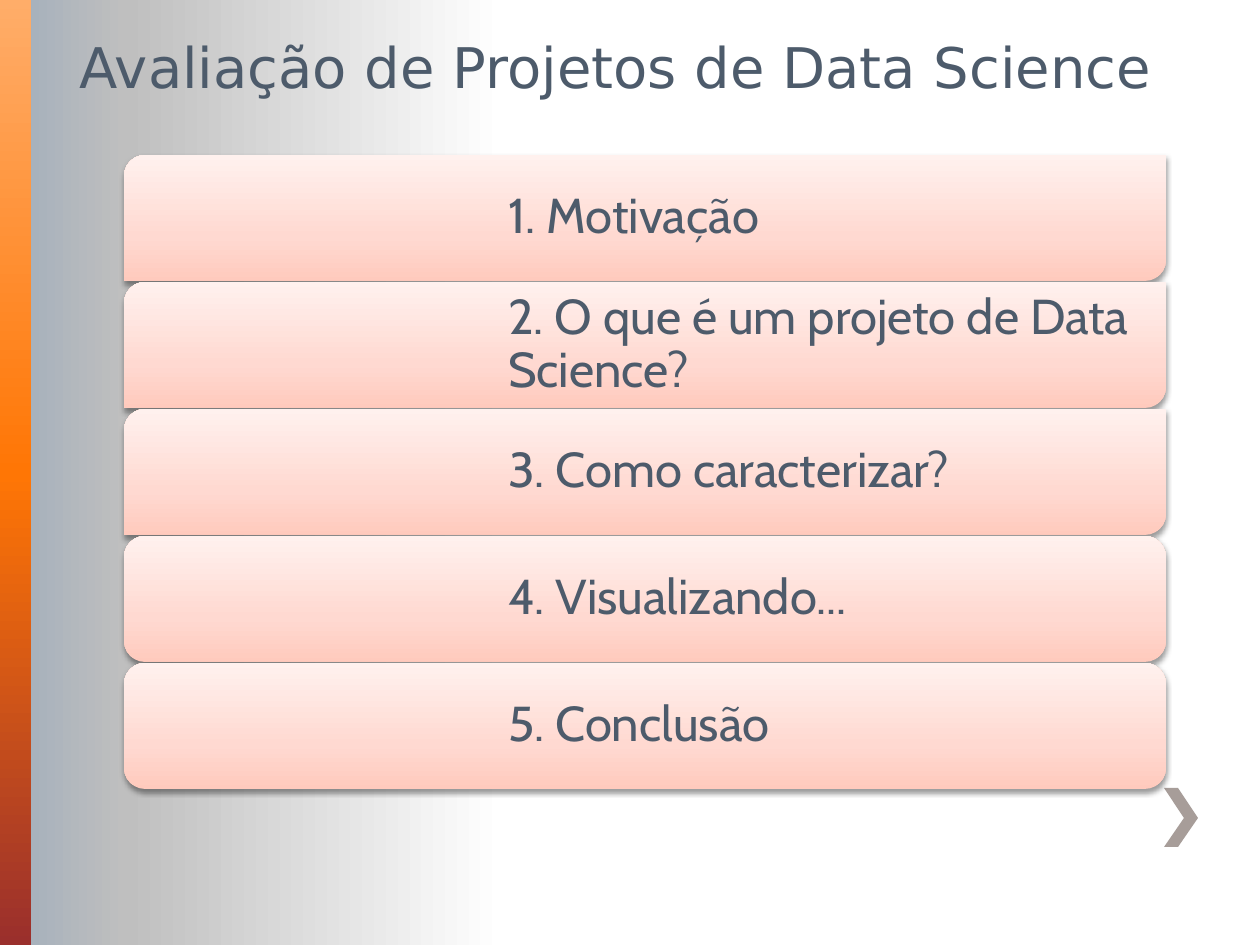
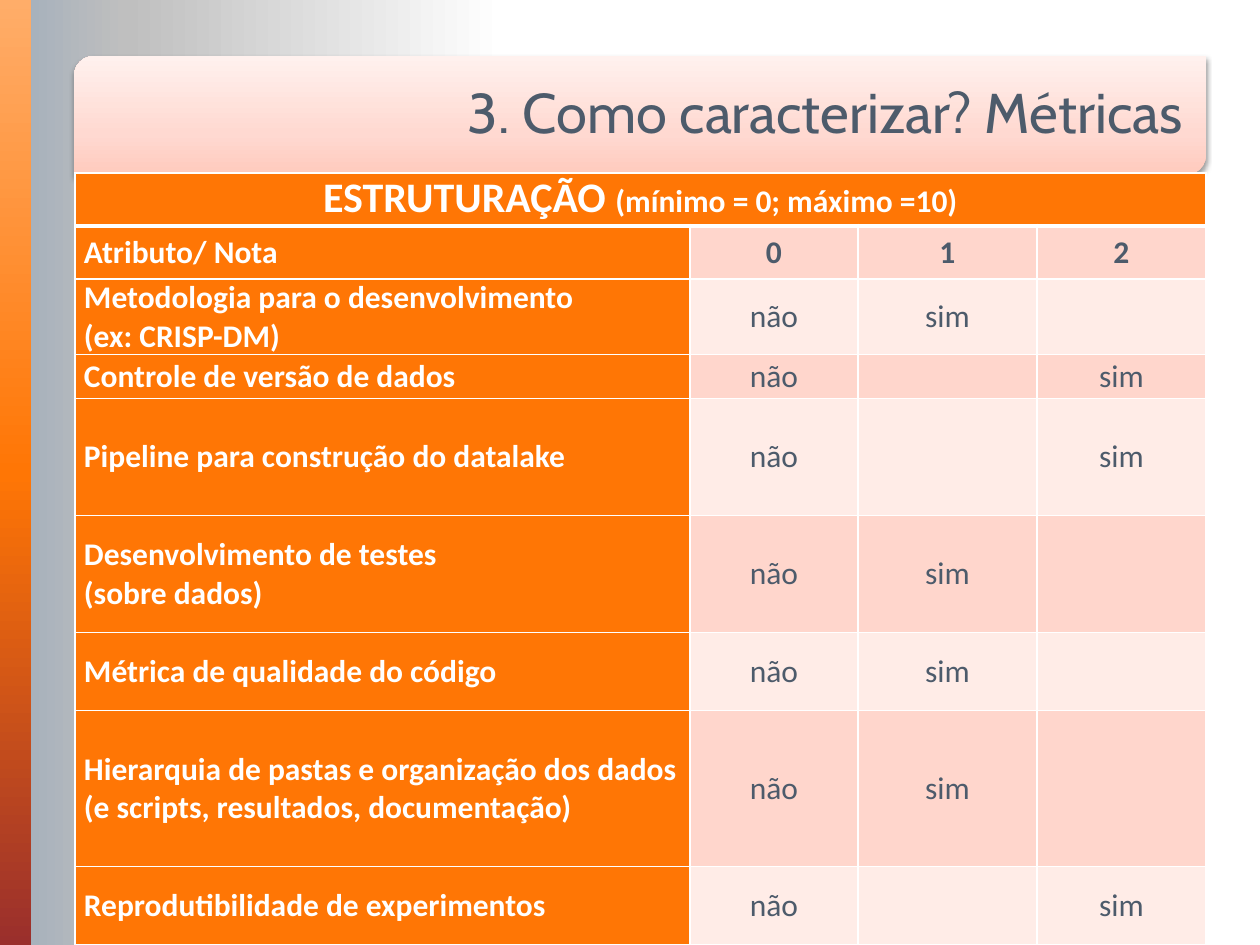
"""Build two slides on rating data science projects."""
from dataclasses import dataclass
from typing import Any

from lxml.etree import SubElement
from pptx import Presentation
from pptx.dml.color import RGBColor as RGB
from pptx.enum.shapes import MSO_SHAPE as SHAPE
from pptx.enum.text import MSO_ANCHOR as ANCHOR, PP_ALIGN as ALIGN
from pptx.oxml.ns import qn
from pptx.util import Emu, Pt

SCALE = 914400 / 126
WIDE, HIGH = 1260, 945

WHITE = RGB(0xFF, 0xFF, 0xFF)
BLACK = RGB(0x00, 0x00, 0x00)
SLATE = RGB(0x4D, 0x5B, 0x6B)
ORANGE = RGB(0xFF, 0x76, 0x05)
PEACH = RGB(0xFF, 0xAD, 0x69)
BRICK = RGB(0x9A, 0x2F, 0x2C)
TAUPE = RGB(0xA7, 0x9D, 0x99)
SILVER = RGB(0xBF, 0xBF, 0xBF)
STEEL = RGB(0xA0, 0xAD, 0xBB)
ROSE = RGB(0xFF, 0xD6, 0xCC)
BLUSH = RGB(0xFF, 0xEC, 0xE7)

Stops = list[tuple[int, RGB]]
BACK: Stops = [(60, WHITE), (90, SILVER), (100, STEEL)]
BAND: Stops = [(0, PEACH), (50, ORANGE), (100, BRICK)]
CARD: Stops = [
    (0, RGB(0xFF, 0xCA, 0xBD)),
    (35, RGB(0xFF, 0xD9, 0xD1)),
    (100, RGB(0xFF, 0xF1, 0xEE)),
]
ARROW = [(1178, 788), (1164, 788), (1184, 818), (1164, 847), (1178, 847), (1198, 818)]

TITLE = {"name": "DejaVu Sans", "size": Pt(32)}
ITEM = {"name": "Cabin", "size": Pt(28)}
HEAD = {"name": "Cabin", "size": Pt(32)}
TOP = {"name": "Calibri", "size": Pt(24), "bold": True}
LABEL = {"name": "Calibri", "size": Pt(18), "bold": True}
PLAIN = {"name": "Calibri", "size": Pt(18), "bold": False}

TOPICS = [
    "1. Motivação",
    "2. O que é um projeto de Data Science?",
    "3. Como caracterizar?",
    "4. Visualizando...",
    "5. Conclusão",
]
COLS = [615, 168, 179, 169]


@dataclass
class Box:
    """Place of an item in px."""
    left: int
    top: int
    width: int
    height: int

    def emu(self) -> list[Emu]:
        """Return the place in EMU."""
        return [px(n) for n in (self.left, self.top, self.width, self.height)]


@dataclass
class Card:
    """Rounded panel with one line of text."""
    box: Box
    text: str
    font: dict[str, Any]
    indent: int
    pad: int
    kind: Any = SHAPE.ROUND_2_DIAG_RECTANGLE
    align: Any = ALIGN.LEFT


@dataclass
class Row:
    """Table row with a label and three marks."""
    height: int
    label: str
    marks: tuple[str, str, str]


NONE_ONE = ("não", "sim", "")
NONE_TWO = ("não", "", "sim")
ROWS = [
    Row(53, "Atributo/ Nota", ("0", "1", "2")),
    Row(75, "Metodologia para o desenvolvimento\n(ex: CRISP-DM)", NONE_ONE),
    Row(44, "Controle de versão de dados", NONE_TWO),
    Row(117, "Pipeline para construção do datalake", NONE_TWO),
    Row(117, "Desenvolvimento de testes\n(sobre dados)", NONE_ONE),
    Row(78, "Métrica de qualidade do código", NONE_ONE),
    Row(156, "Hierarquia de pastas e organização dos dados "
             "(e scripts, resultados, documentação)", NONE_ONE),
    Row(78, "Reprodutibilidade de experimentos", NONE_TWO),
]


def px(n: int) -> Emu:
    """Turn px into EMU."""
    return Emu(round(n * SCALE))


def assign(item: Any, values: dict[str, Any]) -> None:
    """Set each named value on the item."""
    for name, value in values.items():
        setattr(item, name, value)


def style(font: Any, values: dict[str, Any], color: RGB) -> None:
    """Set the font values and colour."""
    assign(font, values)
    font.color.rgb = color


def blend(fill: Any, owner: Any, stops: Stops, angle: int) -> None:
    """Fill the owner with a linear gradient."""
    fill.gradient()
    node = next(owner.iter(qn("a:gradFill")))
    steps = node.find(qn("a:gsLst"))
    steps.clear()
    for spot, color in stops:
        stop = SubElement(steps, qn("a:gs"), pos=str(spot * 1000))
        SubElement(stop, qn("a:srgbClr"), val=str(color))
    node.find(qn("a:lin")).set("ang", str(angle * 60000))


def strip(shape: Any) -> None:
    """Remove the outline and shadow."""
    shape.line.fill.background()
    shape.shadow.inherit = False


def shade(shape: Any) -> None:
    """Add a soft shadow below the shape."""
    effects = shape._element.spPr.find(qn("a:effectLst"))
    drop = SubElement(effects, qn("a:outerShdw"), blurRad=str(Pt(3.1)),
                      dist=str(Pt(1.6)), dir="5400000", rotWithShape="0")
    color = SubElement(drop, qn("a:srgbClr"), val=str(BLACK))
    SubElement(color, qn("a:alpha"), val="38000")


def start(deck: Any) -> Any:
    """Add a slide with the shared backdrop, band and arrow."""
    slide = deck.slides.add_slide(deck.slide_layouts[6])
    blend(slide.background.fill, slide._element, BACK, 180)
    band = slide.shapes.add_shape(SHAPE.RECTANGLE, *Box(0, 0, 31, HIGH).emu())
    blend(band.fill, band._element, BAND, 90)
    strip(band)
    form = slide.shapes.build_freeform(*ARROW[0], scale=SCALE)
    form.add_line_segments(ARROW[1:], close=True)
    arrow = form.convert_to_shape()
    arrow.fill.solid()
    arrow.fill.fore_color.rgb = TAUPE
    strip(arrow)
    return slide


def panel(slide: Any, card: Card) -> None:
    """Draw one rounded panel."""
    shape = slide.shapes.add_shape(card.kind, *card.box.emu())
    blend(shape.fill, shape._element, CARD, 270)
    strip(shape)
    shade(shape)
    pad = px(card.pad)
    frame = shape.text_frame
    assign(frame, {
        "text": card.text, "word_wrap": True, "vertical_anchor": ANCHOR.MIDDLE,
        "margin_left": px(card.indent), "margin_top": pad,
        "margin_right": pad, "margin_bottom": pad,
    })
    para = frame.paragraphs[0]
    assign(para, {"alignment": card.align, "line_spacing": 0.9})
    style(para.runs[0].font, card.font, SLATE)


def title(slide: Any, text: str, box: Box) -> None:
    """Write the slide title."""
    frame = slide.shapes.add_textbox(*box.emu()).text_frame
    assign(frame, {"word_wrap": True, "text": text})
    para = frame.paragraphs[0]
    para.alignment = ALIGN.RIGHT
    style(para.runs[0].font, TITLE, SLATE)


def paint(cell: Any, color: RGB, above: int = 1, below: int = 1) -> None:
    """Set the fill, margins and white borders of a cell."""
    assign(cell, {
        "vertical_anchor": ANCHOR.MIDDLE, "margin_left": px(9),
        "margin_right": px(9), "margin_top": 0, "margin_bottom": 0,
    })
    cell.fill.solid()
    cell.fill.fore_color.rgb = color
    props = cell._tc.get_or_add_tcPr()
    sides = {"a:lnL": 1, "a:lnR": 1, "a:lnT": above, "a:lnB": below}
    for i, (side, width) in enumerate(sides.items()):
        edge = SubElement(props, qn(side), w=str(Pt(width)))
        solid = SubElement(edge, qn("a:solidFill"))
        SubElement(solid, qn("a:srgbClr"), val=str(WHITE))
        props.insert(i, edge)


def write(cell: Any, text: str, font: dict[str, Any], color: RGB, align: Any) -> None:
    """Write the text of a cell."""
    cell.text = text
    for para in cell.text_frame.paragraphs:
        para.alignment = align
        style(para.font, font, color)
        for run in para.runs:
            style(run.font, font, color)


def header(table: Any) -> None:
    """Fill the merged top row."""
    for cell in table.rows[0].cells:
        paint(cell, ORANGE, below=3)
    first = table.cell(0, 0)
    first.merge(table.cell(0, len(COLS) - 1))
    first.vertical_anchor = ANCHOR.TOP
    para = first.text_frame.paragraphs[0]
    assign(para, {"alignment": ALIGN.CENTER, "space_before": Pt(12), "space_after": Pt(12)})
    for text, font in (("ESTRUTURAÇÃO ", TOP), ("(mínimo = 0; máximo =10)", LABEL)):
        run = para.add_run()
        run.text = text
        style(run.font, font, WHITE)


def grid(slide: Any, left: int, top: int) -> None:
    """Draw the table of marks."""
    heights = [53] + [row.height for row in ROWS]
    box = Box(left, top, sum(COLS), sum(heights))
    table = slide.shapes.add_table(len(heights), len(COLS), *box.emu()).table
    assign(table, {"first_row": False, "horz_banding": False})
    for col, width in zip(table.columns, COLS):
        col.width = px(width)
    for line, height in zip(table.rows, heights):
        line.height = px(height)
    header(table)
    for r, row in enumerate(ROWS, 1):
        above = 3 if r == 1 else 1
        label = table.cell(r, 0)
        paint(label, ORANGE, above)
        write(label, row.label, LABEL, WHITE, ALIGN.JUSTIFY if r == 1 else ALIGN.LEFT)
        for c, mark in enumerate(row.marks, 1):
            cell = table.cell(r, c)
            paint(cell, ROSE if r % 2 else BLUSH, above)
            write(cell, mark, LABEL if r == 1 else PLAIN, SLATE, ALIGN.CENTER)


def topics(deck: Any) -> None:
    """Build the slide that lists the topics."""
    slide = start(deck)
    for i, text in enumerate(TOPICS):
        kind = SHAPE.ROUND_2_DIAG_RECTANGLE if i < 3 else SHAPE.ROUNDED_RECTANGLE
        box = Box(124, 155 + 127 * i, 1042, 126)
        panel(slide, Card(box, text, ITEM, 378, 15, kind))
    title(slide, "Avaliação de Projetos de Data Science", Box(64, 26, 1101, 81))


def metrics(deck: Any) -> None:
    """Build the slide with the table of metrics."""
    slide = start(deck)
    panel(slide, Card(Box(74, 56, 1132, 119), "3. Como caracterizar? Métricas",
                      HEAD, 95, 17, align=ALIGN.RIGHT))
    grid(slide, 75, 173)


def main() -> None:
    """Build and save the deck."""
    deck = Presentation()
    assign(deck, {"slide_width": px(WIDE), "slide_height": px(HIGH)})
    topics(deck)
    metrics(deck)
    deck.save("out.pptx")


if __name__ == "__main__":
    main()
